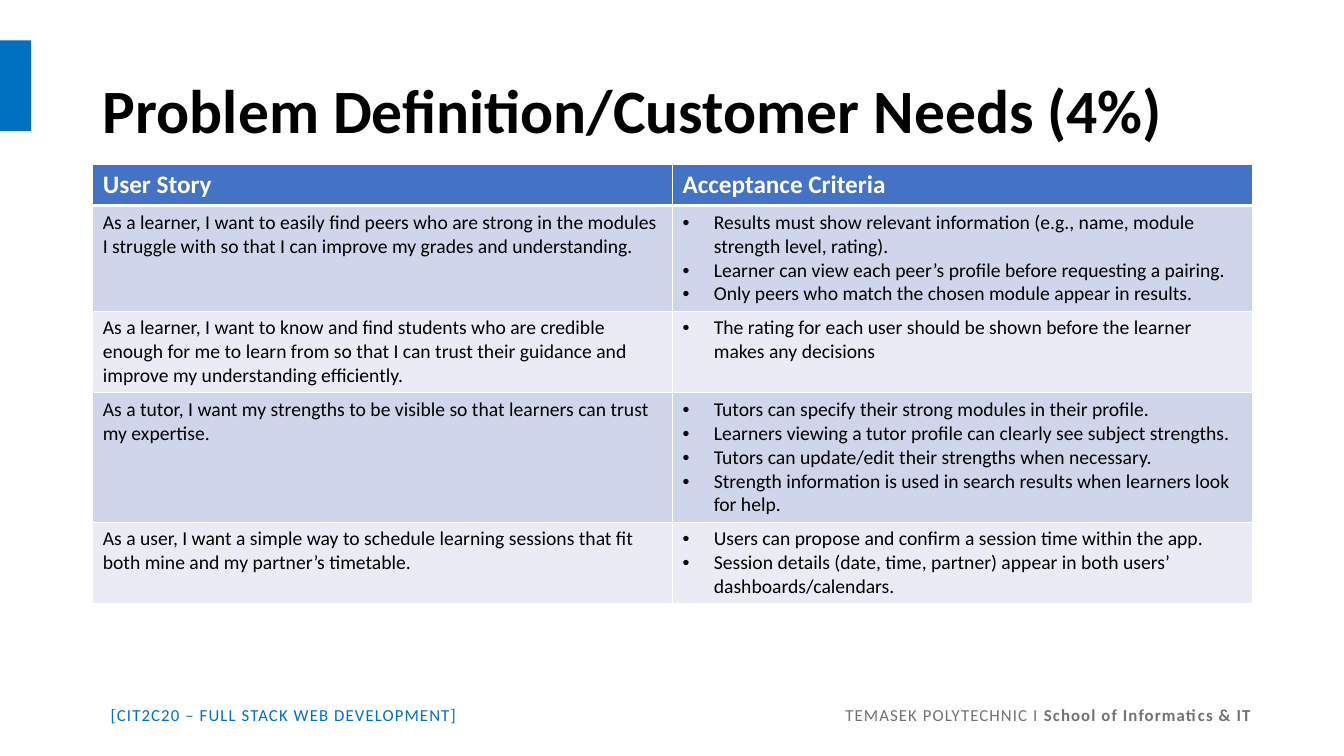
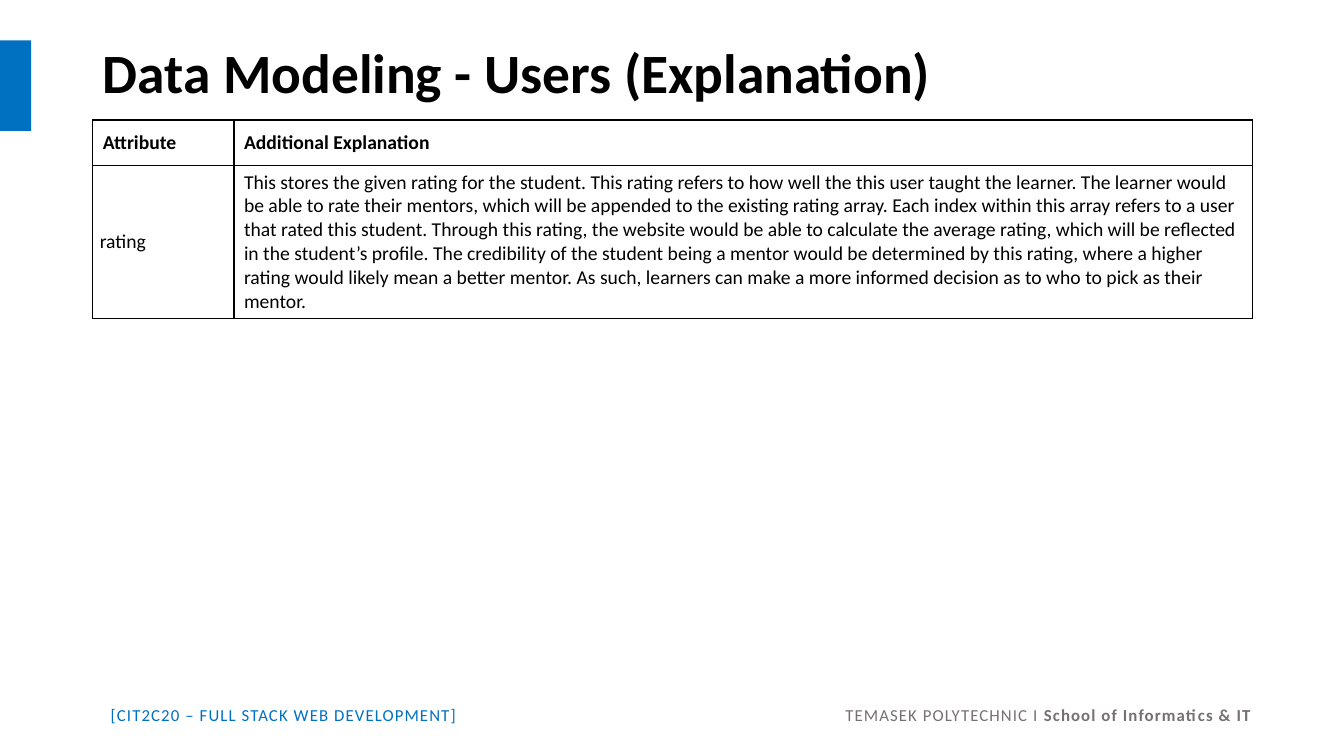
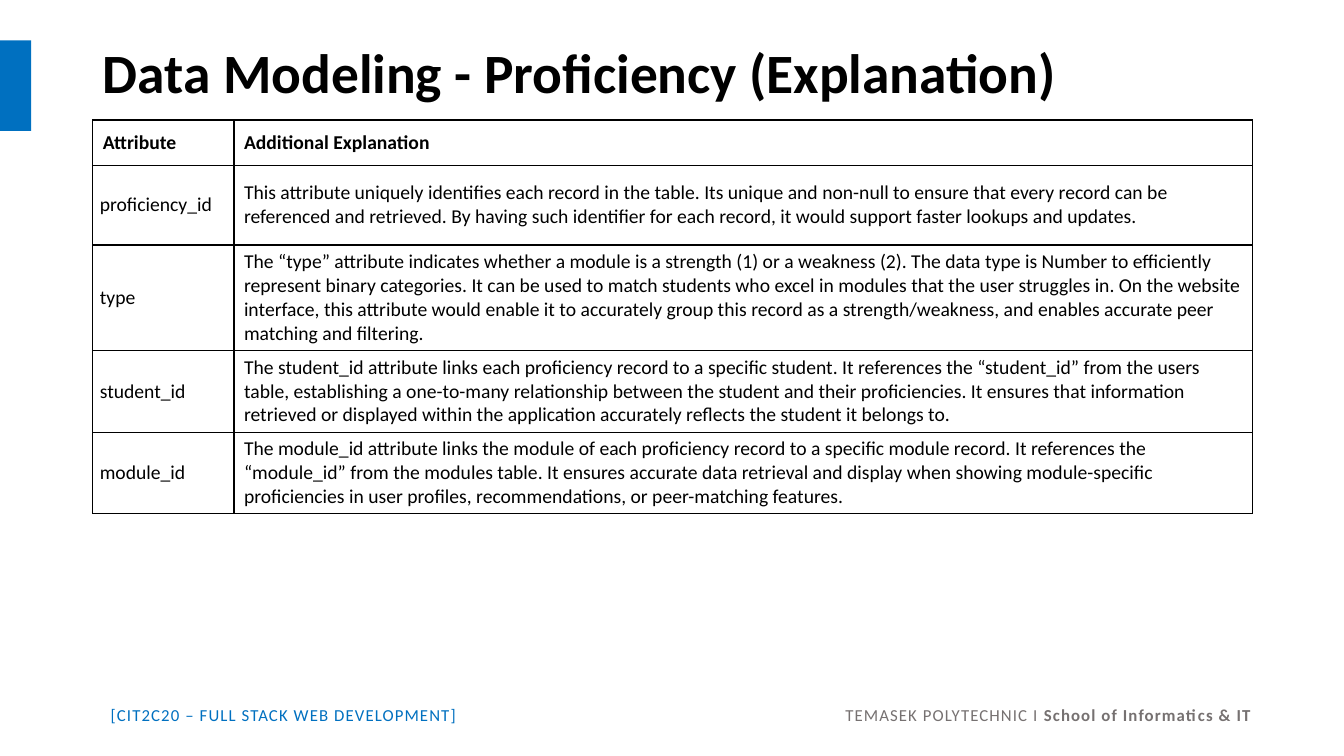
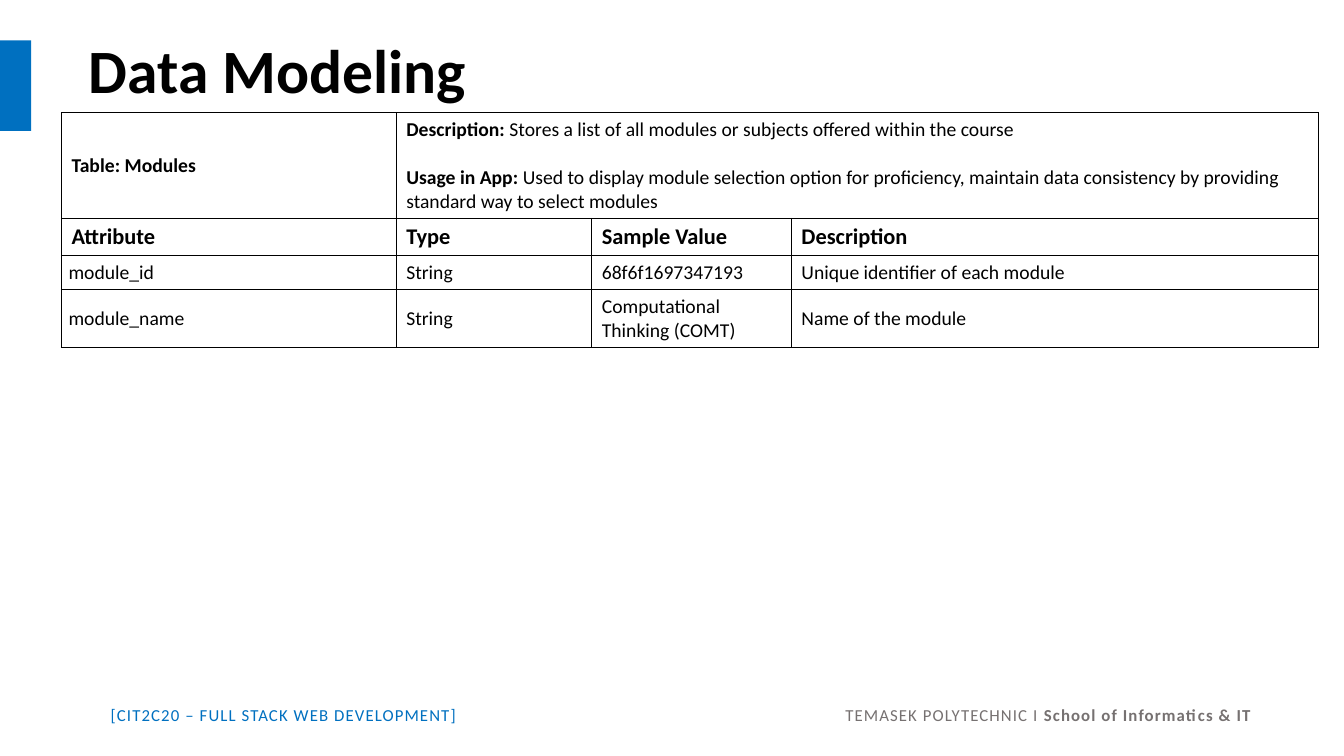
import pptx
import pptx.dml.color
import pptx.enum.shapes
import pptx.enum.text
import pptx.oxml
import pptx.oxml.ns
import pptx.util
from lxml import etree

Inches = pptx.util.Inches
Pt = pptx.util.Pt
qn = pptx.oxml.ns.qn
MIDDLE = pptx.enum.text.MSO_ANCHOR.MIDDLE
TOP = pptx.enum.text.MSO_ANCHOR.TOP

FONT = "Calibri"
BLACK, WHITE, BLUE, GREY = "000000", "FFFFFF", "0070C0", "767171"
HEADER_BLUE, BAND_DARK, BAND_LIGHT = "4472C4", "CFD5EA", "E9EBF5"
BODY_SIZE = 14
LEFT, WIDTH = 0.92, 11.5

STORY_STYLE = dict(head_sizes=[18], head_color=WHITE, fills=[HEADER_BLUE, BAND_DARK, BAND_LIGHT],
                   line=WHITE, head_rule=3, anchor=TOP, name_inset=False)
GRID_STYLE = dict(head_sizes=[14], head_color=BLACK, fills=None,
                  line=BLACK, head_rule=1, anchor=MIDDLE, name_inset=True)
MODEL_STYLE = dict(GRID_STYLE, head_sizes=[14, 16], fills=[WHITE] * 3)

EXPLANATION_HEADER = ["Attribute", "Additional Explanation"]
EXPLANATION_COLUMNS = [1.4, 10.1]

SLIDES = [
    dict(
        title="Problem Definition/Customer Needs (4%)", title_size=44,
        title_at=(LEFT, 0.4, WIDTH, 1.45), table_at=(LEFT, 1.63), style=STORY_STYLE,
        columns=[WIDTH / 2] * 2, heights=[0.41, 1.03, 0.8, 1.27, 0.8],
        rows=[
            ["User Story", "Acceptance Criteria"],
            ["As a learner, I want to easily find peers who are strong in the modules I struggle with "
             "so that I can improve my grades and understanding.",
             ["Results must show relevant information (e.g., name, module strength level, rating).",
              "Learner can view each peer’s profile before requesting a pairing.",
              "Only peers who match the chosen module appear in results."]],
            ["As a learner, I want to know and find students who are credible enough for me to learn from "
             "so that I can trust their guidance and improve my understanding efficiently.",
             ["The rating for each user should be shown before the learner makes any decisions"]],
            ["As a tutor, I want my strengths to be visible so that learners can trust my expertise.",
             ["Tutors can specify their strong modules in their profile.",
              "Learners viewing a tutor profile can clearly see subject strengths.",
              "Tutors can update/edit their strengths when necessary.",
              "Strength information is used in search results when learners look for help."]],
            ["As a user, I want a simple way to schedule learning sessions that fit both mine and my "
             "partner’s timetable.",
             ["Users can propose and confirm a session time within the app.",
              "Session details (date, time, partner) appear in both users’ dashboards/calendars."]],
        ]),
    dict(
        title="Data Modeling - Users (Explanation)", title_size=39.6,
        title_at=(LEFT, 0.4, WIDTH, 0.7), table_at=(LEFT, 1.19), style=GRID_STYLE,
        columns=EXPLANATION_COLUMNS, heights=[0.45, 1.5],
        rows=[
            EXPLANATION_HEADER,
            ["rating",
             "This stores the given rating for the student. This rating refers to how well the this user "
             "taught the learner. The learner would be able to rate their mentors, which will be appended "
             "to the existing rating array. Each index within this array refers to a user that rated this "
             "student. Through this rating, the website would be able to calculate the average rating, "
             "which will be reflected in the student’s profile. The credibility of the student being a "
             "mentor would be determined by this rating, where a higher rating would likely mean a better "
             "mentor. As such, learners can make a more informed decision as to who to pick as their "
             "mentor."],
        ]),
    dict(
        title="Data Modeling - Proficiency (Explanation)", title_size=39.6,
        title_at=(LEFT, 0.4, WIDTH, 0.7), table_at=(LEFT, 1.19), style=GRID_STYLE,
        columns=EXPLANATION_COLUMNS, heights=[0.45, 0.79, 1.03, 0.8, 0.8],
        rows=[
            EXPLANATION_HEADER,
            ["proficiency_id",
             "This attribute uniquely identifies each record in the table. Its unique and non-null to "
             "ensure that every record can be referenced and retrieved. By having such identifier for "
             "each record, it would support faster lookups and updates."],
            ["type",
             "The “type” attribute indicates whether a module is a strength (1) or a weakness (2). The "
             "data type is Number to efficiently represent binary categories. It can be used to match "
             "students who excel in modules that the user struggles in. On the website interface, this "
             "attribute would enable it to accurately group this record as a strength/weakness, and "
             "enables accurate peer matching and filtering."],
            ["student_id",
             "The student_id attribute links each proficiency record to a specific student. It references "
             "the “student_id” from the users table, establishing a one-to-many relationship between the "
             "student and their proficiencies. It ensures that information retrieved or displayed within "
             "the application accurately reflects the student it belongs to."],
            ["module_id",
             "The module_id attribute links the module of each proficiency record to a specific module "
             "record. It references the “module_id” from the modules table. It ensures accurate data "
             "retrieval and display when showing module-specific proficiencies in user profiles, "
             "recommendations, or peer-matching features."],
        ]),
    dict(
        title="Data Modeling", title_size=44,
        title_at=(0.78, 0, WIDTH, 1.45), table_at=(0.61, 1.12), style=MODEL_STYLE,
        columns=[3.32, 1.94, 1.98, 5.23], heights=[1.04, 0.37, 0.33, 0.56],
        rows=[
            ["Table: Modules",
             (("Description:", " Stores a list of all modules or subjects offered within the course"),
              ("Usage in App:", " Used to display module selection option for proficiency, maintain data "
               "consistency by providing standard way to select modules"))],
            ["Attribute", "Type", "Sample Value", "Description"],
            ["module_id", "String", "68f6f1697347193", "Unique identifier of each module"],
            ["module_name", "String", "Computational Thinking (COMT)", "Name of the module"],
        ]),
]


def rgb(value):
    return pptx.dml.color.RGBColor.from_string(value)


def style_font(font, size, color, bold=False):
    font.name = FONT
    font.size = Pt(size)
    font.bold = bold
    font.color.rgb = rgb(color)


def add_bullet(paragraph):
    properties = paragraph._p.get_or_add_pPr()
    properties.set("marL", str(Inches(0.31)))
    properties.set("indent", str(-Inches(0.31)))
    etree.SubElement(properties, qn("a:buFont"), typeface="Arial")
    etree.SubElement(properties, qn("a:buChar"), char="•")


def set_borders(cell, color, top, bottom):
    properties = cell._tc.get_or_add_tcPr()
    for index, (side, width) in enumerate([("L", 1), ("R", 1), ("T", top), ("B", bottom)]):
        line = etree.Element(qn("a:ln" + side), w=str(Pt(width)))
        fill = etree.SubElement(line, qn("a:solidFill"))
        etree.SubElement(fill, qn("a:srgbClr"), val=color)
        properties.insert(index, line)


def fill_text(frame, content, size, color, bold):
    items = [content] if isinstance(content, str) else content
    for index, item in enumerate(items):
        paragraph = frame.add_paragraph() if index else frame.paragraphs[0]
        if isinstance(content, list):
            add_bullet(paragraph)
        style_font(paragraph.font, size, color, bold)
        if isinstance(item, str):
            paragraph.add_run().text = item
            continue
        if index:
            paragraph.space_before = Pt(17)
        lead, rest = item
        paragraph.add_run().text = lead
        run = paragraph.add_run()
        run.text = rest
        run.font.bold = False


def add_grid(slide, data):
    style, rows, columns, heights = (data[key] for key in ("style", "rows", "columns", "heights"))
    left, top = data["table_at"]
    table = slide.shapes.add_table(len(rows), len(columns), Inches(left), Inches(top),
                                   Inches(sum(columns)), Inches(sum(heights))).table
    table.first_row = table.horz_banding = False
    for column, width in zip(table.columns, columns):
        column.width = Inches(width)
    for row, height in zip(table.rows, heights):
        row.height = Inches(height)
    for r, row in enumerate(rows):
        is_head = r < len(style["head_sizes"])
        size = style["head_sizes"][r] if is_head else BODY_SIZE
        if len(row) < len(columns):
            table.cell(r, len(row) - 1).merge(table.cell(r, len(columns) - 1))
        for c in range(len(columns)):
            cell = table.cell(r, c)
            cell.vertical_anchor = style["anchor"]
            if style["fills"]:
                cell.fill.solid()
                cell.fill.fore_color.rgb = rgb(style["fills"][0 if r == 0 else 2 - r % 2])
            else:
                cell.fill.background()
            set_borders(cell, style["line"], style["head_rule"] if r == 1 else 1,
                        style["head_rule"] if r == 0 else 1)
            if style["name_inset"] and not is_head and c == 0:
                cell.margin_left = cell.margin_right = Inches(0.07)
                cell.margin_top = cell.margin_bottom = 0
            if c < len(row):
                fill_text(cell.text_frame, row[c], size,
                          style["head_color"] if is_head else BLACK, is_head)


def add_title(slide, data):
    title = slide.shapes.title
    title.left, title.top, title.width, title.height = map(Inches, data["title_at"])
    frame = title.text_frame
    frame.text = data["title"]
    frame.auto_size = pptx.enum.text.MSO_AUTO_SIZE.NONE
    frame.vertical_anchor = MIDDLE
    paragraph = frame.paragraphs[0]
    paragraph.alignment = pptx.enum.text.PP_ALIGN.LEFT
    paragraph.line_spacing = 0.9
    style_font(paragraph.font, data["title_size"], BLACK, True)


def move_branding_to_layout(slide, layout):
    band = slide.shapes.add_shape(pptx.enum.shapes.MSO_SHAPE.RECTANGLE,
                                  0, Inches(0.4), Inches(0.31), Inches(0.9))
    band.shadow.inherit = False
    band.fill.solid()
    band.fill.fore_color.rgb = rgb(BLUE)
    band.line.fill.background()

    footer = slide.shapes.add_textbox(Inches(1), Inches(6.94), Inches(11.63), Inches(0.3))
    frame = footer.text_frame
    frame.word_wrap = True
    frame.auto_size = pptx.enum.text.MSO_AUTO_SIZE.SHAPE_TO_FIT_TEXT
    paragraph = frame.paragraphs[0]
    tabs = etree.SubElement(paragraph._p.get_or_add_pPr(), qn("a:tabLst"))
    etree.SubElement(tabs, qn("a:tab"), pos=str(Inches(11.31)), algn="r")
    for text, color, bold in [("[CIT2C20 – FULL STACK WEB DEVELOPMENT]\t", BLUE, False),
                              ("TEMASEK POLYTECHNIC I ", GREY, False),
                              ("School of Informatics & IT", GREY, True)]:
        run = paragraph.add_run()
        run.text = text
        style_font(run.font, 12, color, bold)
    for properties in footer.element.iter(qn("a:rPr")):
        properties.set("spc", "80")

    for shape in (footer, band):
        layout.shapes.element.append(shape.element)


def main():
    presentation = pptx.Presentation()
    presentation.slide_width = Inches(13.33)
    presentation.slide_height = Inches(7.5)
    layout = presentation.slide_layouts[5]
    for index, data in enumerate(SLIDES):
        slide = presentation.slides.add_slide(layout)
        if index == 0:
            move_branding_to_layout(slide, layout)
        add_title(slide, data)
        add_grid(slide, data)
    presentation.save("out.pptx")


if __name__ == "__main__":
    main()
